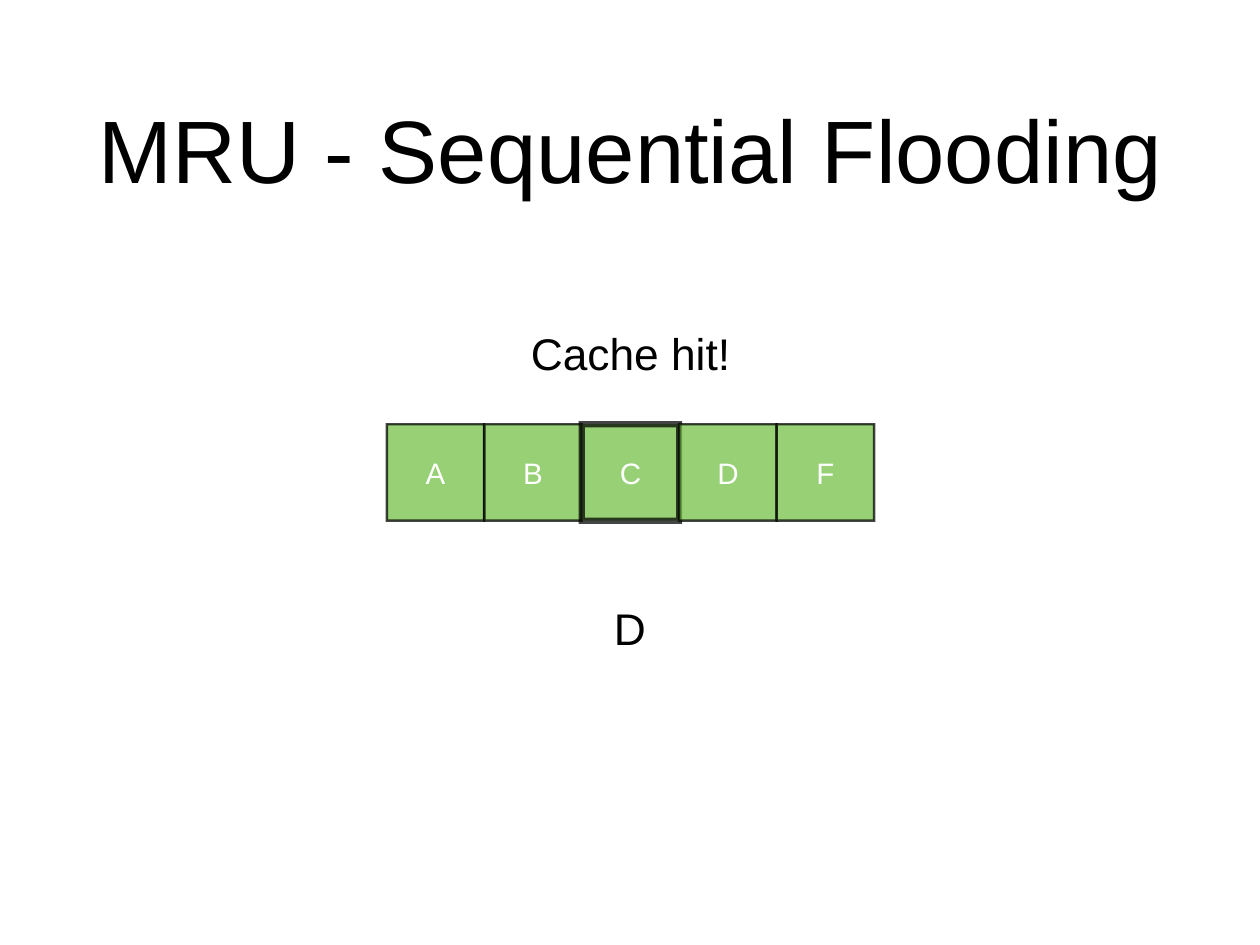
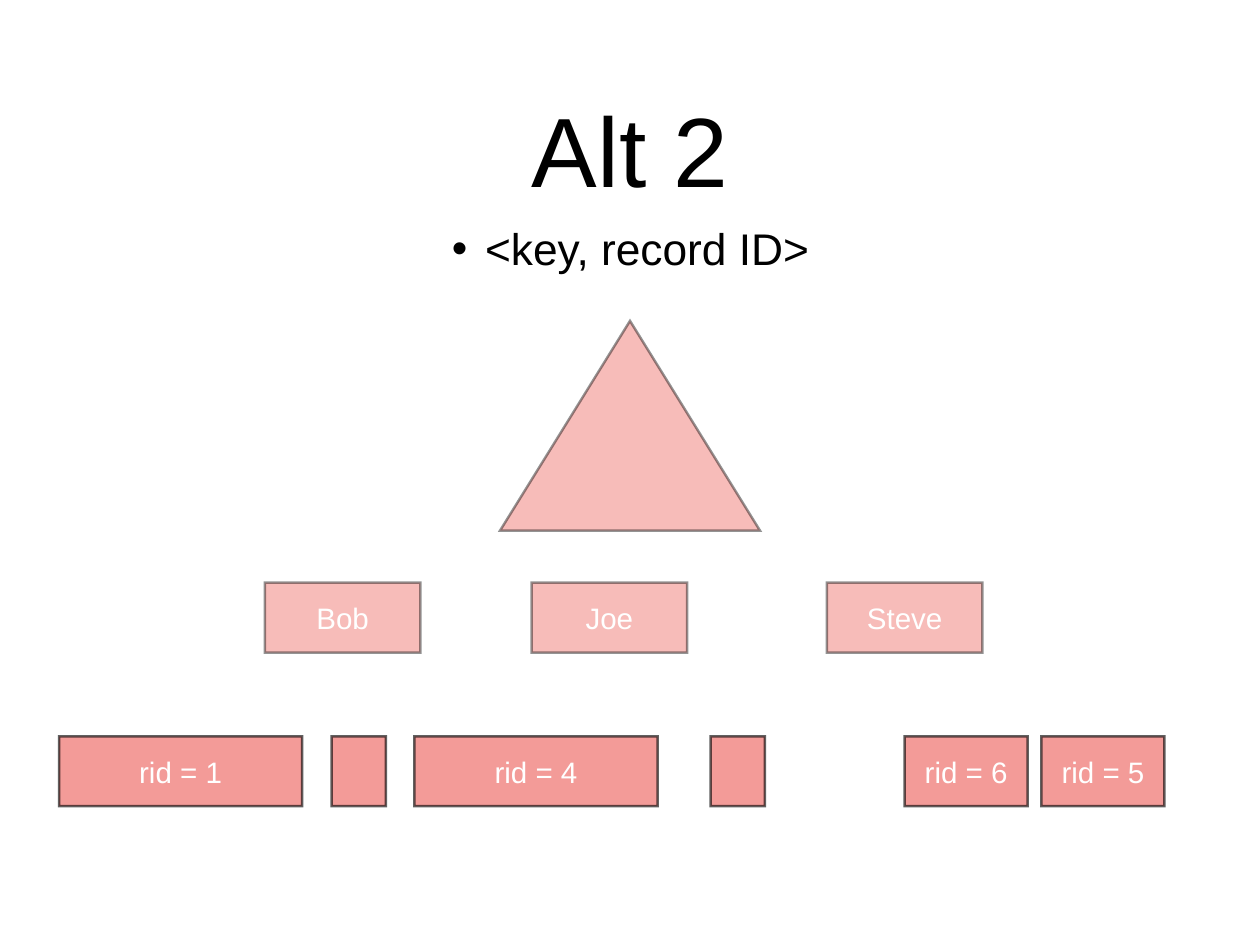
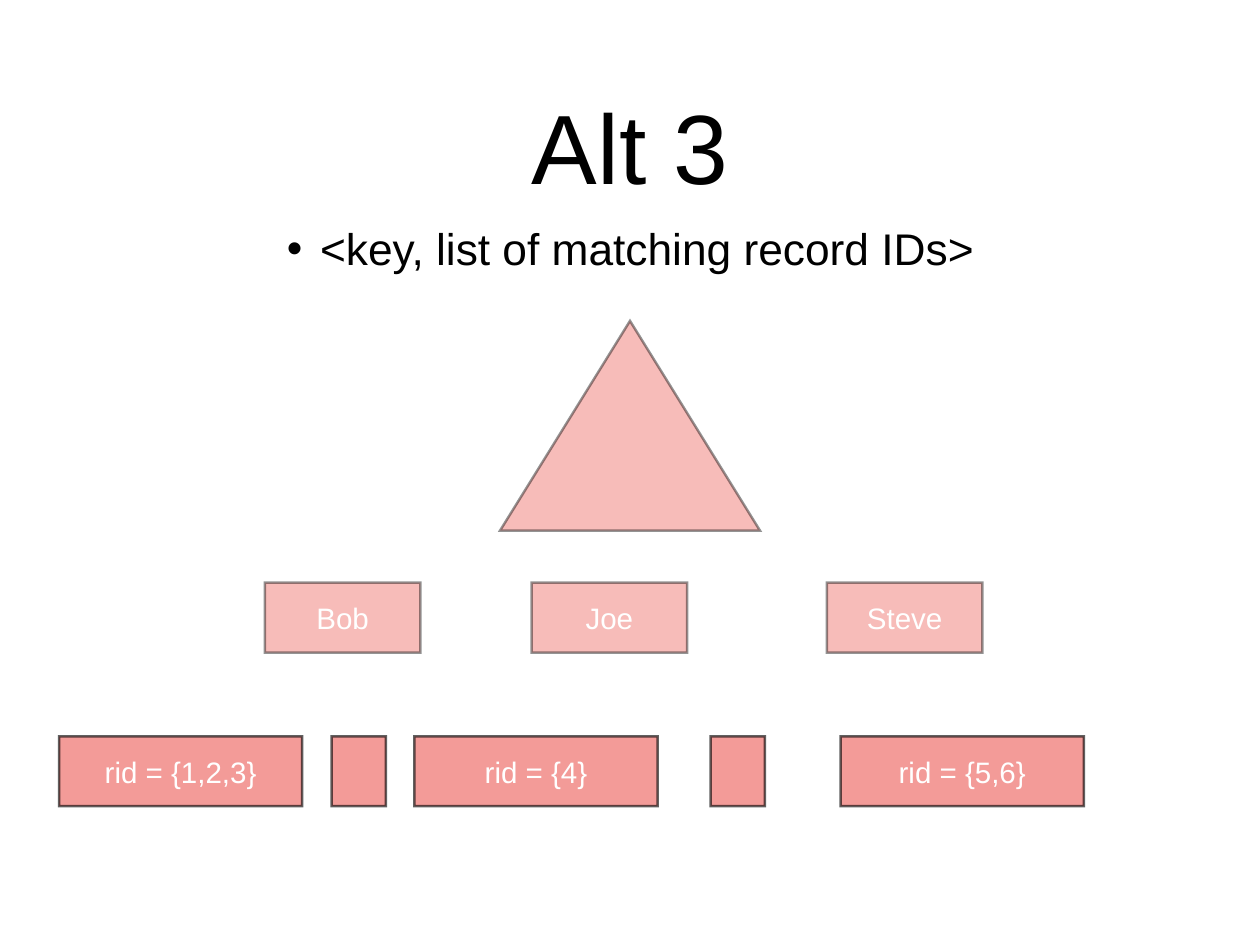
import dataclasses
import typing

import lxml.etree
import pptx
import pptx.dml.color
import pptx.enum.shapes
import pptx.enum.text
import pptx.oxml.ns
import pptx.shapes.autoshape
import pptx.slide
import pptx.text.text
import pptx.util

PX = 10160
ANCHOR = pptx.enum.text.MSO_ANCHOR
FIT = pptx.enum.text.MSO_AUTO_SIZE
RECTANGLE = pptx.enum.shapes.MSO_SHAPE.RECTANGLE
TRIANGLE = pptx.enum.shapes.MSO_SHAPE.ISOSCELES_TRIANGLE


@dataclasses.dataclass(frozen=True)
class Theme:
    font: str = "Arial"
    ink: str = "000000"
    label: str = "FFFFFF"
    cache: str = "70BF41"
    index: str = "EC5D57"
    long_title: int = 72
    title: int = 80
    caption: int = 36
    box_label: int = 24
    outline: int = 2
    active_outline: int = 5
    cache_opacity: int = 72
    index_opacity: int = 41
    record_opacity: int = 61


THEME = Theme()


class Area(typing.NamedTuple):
    left: int
    top: int
    width: int
    height: int


@dataclasses.dataclass(frozen=True)
class Box:
    area: Area
    color: str
    opacity: int
    text: str = ""
    outline: int = THEME.outline
    preset: pptx.enum.shapes.MSO_SHAPE = RECTANGLE


class Record(typing.NamedTuple):
    left: int
    width: int
    text: str = ""


@dataclasses.dataclass(frozen=True)
class Alternative:
    title: str
    title_top: int
    entry: str
    records: tuple[Record, ...]


WIDE, NARROW, HALF = 247, 55, 125
GAPS = (Record(722, NARROW), Record(337, NARROW))
ALTERNATIVES = (
    Alternative("Alt 2", 44, "<key, record ID>", (
        Record(60, WIDE, "rid = 1"), Record(421, WIDE, "rid = 4"),
        Record(1058, HALF, "rid = 5"), *GAPS, Record(919, HALF, "rid = 6"))),
    Alternative("Alt 3", 41, "<key, list of matching record IDs>", (
        Record(60, WIDE, "rid = {1,2,3}"), Record(421, WIDE, "rid = {4}"),
        Record(854, WIDE, "rid = {5,6}"), *GAPS)),
)
LEAVES = {"Bob": 269, "Joe": 540, "Steve": 840}


def rgb(color: str) -> pptx.dml.color.RGBColor:
    return pptx.dml.color.RGBColor.from_string(color)


def apply(target: object, values: dict[str, typing.Any]) -> None:
    for name, value in values.items():
        setattr(target, name, value)


def place(area: Area) -> dict[str, int]:
    return {name: length * PX for name, length in area._asdict().items()}


def write(frame: pptx.text.text.TextFrame, text: str, size: int,
          color: str = THEME.ink, inset: int = 0, **layout: typing.Any) -> None:
    frame.text = text
    margins = {f"margin_{side}": inset * PX for side in ("left", "top", "right", "bottom")}
    defaults = {"auto_size": FIT.NONE, "word_wrap": True, "vertical_anchor": ANCHOR.MIDDLE}
    apply(frame, margins | defaults | layout)
    paragraph = frame.paragraphs[0]
    apply(paragraph, {"alignment": pptx.enum.text.PP_ALIGN.CENTER,
                      "space_before": pptx.util.Pt(0)})
    apply(paragraph.font, {"name": THEME.font, "size": pptx.util.Pt(size)})
    paragraph.font.color.rgb = rgb(color)


def draw_box(slide: pptx.slide.Slide, box: Box) -> None:
    shape = slide.shapes.add_shape(box.preset, **place(box.area))
    shape.shadow.inherit = False
    shape.fill.solid()
    shape.fill.fore_color.rgb = rgb(box.color)
    shape.line.color.rgb = rgb(THEME.ink)
    shape.line.width = pptx.util.Pt(box.outline)
    qn = pptx.oxml.ns.qn
    properties = shape.element.spPr
    for color in properties.iter(qn("a:srgbClr")):
        lxml.etree.SubElement(color, qn("a:alpha"), val=str(box.opacity * 1000))
    lxml.etree.SubElement(properties.find(qn("a:ln")), qn("a:miter"), lim="400000")
    if box.text:
        write(shape.text_frame, box.text, THEME.box_label, THEME.label)


def draw_caption(slide: pptx.slide.Slide, area: Area, text: str) -> None:
    caption = slide.shapes.add_textbox(**place(area))
    write(caption.text_frame, text, THEME.caption, inset=5,
          auto_size=FIT.SHAPE_TO_FIT_TEXT, word_wrap=False)


def add_slide(deck: pptx.presentation.Presentation, layout: str, title: str,
              size: int, top: int = 44) -> pptx.slide.Slide:
    slide = deck.slides.add_slide(deck.slide_layouts.get_by_name(layout))
    apply(slide.shapes.title, place(Area(94, top, 1093, 212)))
    write(slide.shapes.title.text_frame, title, size)
    return slide


def add_flooding(deck: pptx.presentation.Presentation) -> None:
    slide = add_slide(deck, "Title Only", "MRU - Sequential Flooding", THEME.long_title)
    pitch = 99
    for column, page in enumerate("ABCDF"):
        draw_box(slide, Box(
            Area(393 + column * pitch, 431, pitch, 98), THEME.cache, THEME.cache_opacity,
            page, THEME.active_outline if page == "C" else THEME.outline))
    draw_caption(slide, Area(618, 606, 44, 64), "D")
    draw_caption(slide, Area(531, 326, 219, 64), "Cache hit!")


def add_alternative(deck: pptx.presentation.Presentation, alternative: Alternative) -> None:
    slide = add_slide(deck, "Title and Content", alternative.title, THEME.title,
                      alternative.title_top)
    entry = slide.placeholders[1]
    apply(entry, place(Area(94, 225, 1093, 87)))
    entry.text_frame.text = alternative.entry
    bullet = entry.text_frame.paragraphs[0]._p.get_or_add_pPr()
    apply(bullet, {"marL": 0, "indent": 0})
    lxml.etree.SubElement(bullet, pptx.oxml.ns.qn("a:buNone"))
    write(entry.text_frame, alternative.entry, THEME.caption, vertical_anchor=ANCHOR.TOP)

    draw_box(slide, Box(Area(508, 326, 264, 213), THEME.index, THEME.index_opacity,
                        preset=TRIANGLE))
    for name, left in LEAVES.items():
        draw_box(slide, Box(Area(left, 592, 158, 71), THEME.index,
                            THEME.index_opacity, name))
    for record in alternative.records:
        draw_box(slide, Box(Area(record.left, 748, record.width, 71), THEME.index,
                            THEME.record_opacity, record.text))


def main() -> None:
    deck = pptx.Presentation()
    apply(deck, {"slide_width": 1280 * PX, "slide_height": 960 * PX})
    add_flooding(deck)
    for alternative in ALTERNATIVES:
        add_alternative(deck, alternative)
    deck.save("out.pptx")


if __name__ == "__main__":
    main()
